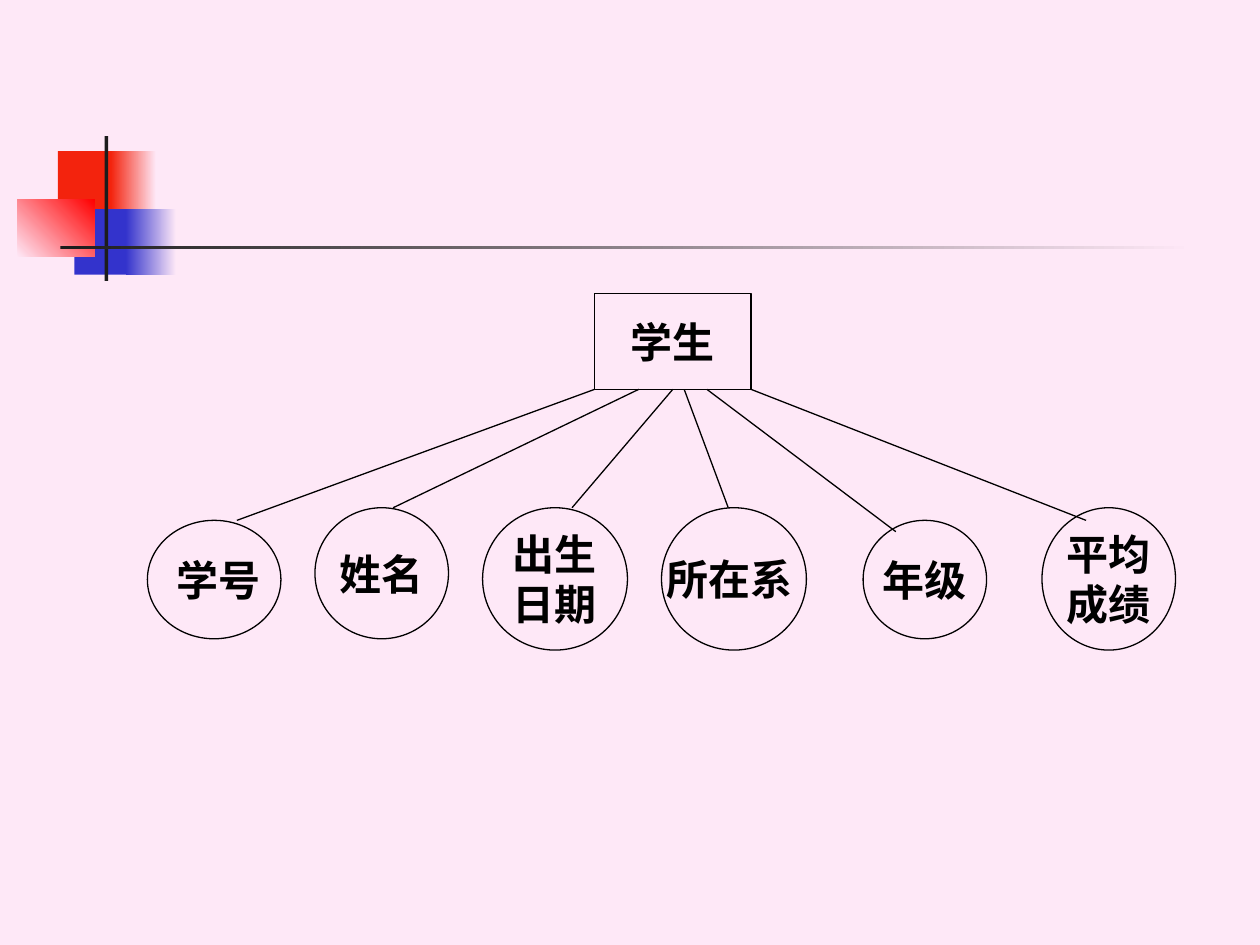
"""Build a slide with the entity diagram of a student and its six attributes."""
from dataclasses import dataclass

from pptx import Presentation
from pptx.dml.color import RGBColor
from pptx.enum.shapes import MSO_CONNECTOR, MSO_SHAPE
from pptx.enum.text import MSO_ANCHOR, PP_ALIGN
from pptx.util import Inches, Pt
from lxml.etree import SubElement
from pptx.oxml.ns import qn


@dataclass(frozen=True)
class Theme:
    background: str = "FEE8F7"
    red: str = "F3230D"
    bright_red: str = "FF0000"
    blue: str = "3333CC"
    dark: str = "1C1C1C"
    ink: str = "000000"
    font: str = "Times New Roman"
    text_size: float = 24
    line_width: float = 0.75


THEME = Theme()

ORNAMENTS = [
    ((0.46, 1.2, 0.48, 0.52), (THEME.red,), 0),
    ((0.88, 1.2, 0.36, 0.52), (THEME.red, THEME.background), 0),
    ((0.59, 1.66, 0.46, 0.52), (THEME.blue,), 0),
    ((1, 1.66, 0.4, 0.52), (THEME.blue, THEME.background), 0),
    ((0.14, 1.58, 0.61, 0.46), (THEME.background, THEME.bright_red), 45),
    ((0.83, 1.08, 0.03, 1.15), (THEME.dark,), 0),
    ((0.48, 1.95, 9, 0.03), (THEME.dark, THEME.background), 0),
]

ENTITY = ("学生", (4.72, 2.33, 1.24, 0.76))
ENTITY_BOTTOM = 3.09
BOTTOM_SITE = 2

ATTRIBUTES = [
    (" 学号", (1.17, 4.13, 1.06, 0.94), 4.72, (1.88, 4.13)),
    ("姓名", (2.5, 4.03, 1.06, 1.04), 5.07, (3.12, 4.03)),
    ("出生\n日期", (3.83, 4.03, 1.15, 1.13), 5.34, (4.54, 4.03)),
    ("所在系 ", (5.25, 4.03, 1.15, 1.13), 5.43, (5.78, 4.03)),
    ("年级", (6.85, 4.13, 0.98, 0.94), 5.61, (7.11, 4.22)),
    ("平均\n成绩", (8.27, 4.03, 1.06, 1.13), 5.96, (8.62, 4.13)),
]


def color(value):
    return RGBColor.from_string(value)


def add_ornament(slide, box, colors, angle):
    ornament = slide.shapes.add_shape(MSO_SHAPE.RECTANGLE, *map(Inches, box))
    ornament.shadow.inherit = False
    ornament.line.fill.background()
    if len(colors) == 1:
        ornament.fill.solid()
        ornament.fill.fore_color.rgb = color(colors[0])
        return
    ornament.fill.gradient()
    ornament.fill.gradient_angle = angle
    for stop, value in zip(ornament.fill.gradient_stops, colors):
        stop.color.rgb = color(value)


def style_line(line):
    line.color.rgb = color(THEME.ink)
    line.width = Pt(THEME.line_width)


def add_node(slide, outline, label, box):
    node = slide.shapes.add_shape(outline, *map(Inches, box))
    node.shadow.inherit = False
    node.fill.background()
    style_line(node.line)
    frame = node.text_frame
    frame.text = label
    frame.word_wrap = False
    frame.vertical_anchor = MSO_ANCHOR.MIDDLE
    for paragraph in frame.paragraphs:
        paragraph.alignment = PP_ALIGN.CENTER
        for run in paragraph.runs:
            run.font.name = THEME.font
            run.font.size = Pt(THEME.text_size)
            run.font.bold = True
            run.font.color.rgb = color(THEME.ink)
    return node


def add_link(slide, entity, start_x, end):
    link = slide.shapes.add_connector(
        MSO_CONNECTOR.STRAIGHT, *map(Inches, (start_x, ENTITY_BOTTOM, *end)))
    style_line(link.line)
    SubElement(link._element.spPr, qn("a:effectLst"))
    if Inches(start_x) == entity.left + entity.width // 2:
        link.begin_connect(entity, BOTTOM_SITE)


def main():
    deck = Presentation()
    deck.slide_width, deck.slide_height = Inches(10), Inches(7.5)
    slide = deck.slides.add_slide(deck.slide_layouts[6])
    slide.background.fill.solid()
    slide.background.fill.fore_color.rgb = color(THEME.background)
    for ornament in ORNAMENTS:
        add_ornament(slide, *ornament)
    entity = add_node(slide, MSO_SHAPE.RECTANGLE, *ENTITY)
    for label, box, start_x, end in ATTRIBUTES:
        add_node(slide, MSO_SHAPE.OVAL, label, box)
        add_link(slide, entity, start_x, end)
    deck.save("out.pptx")


if __name__ == "__main__":
    main()
